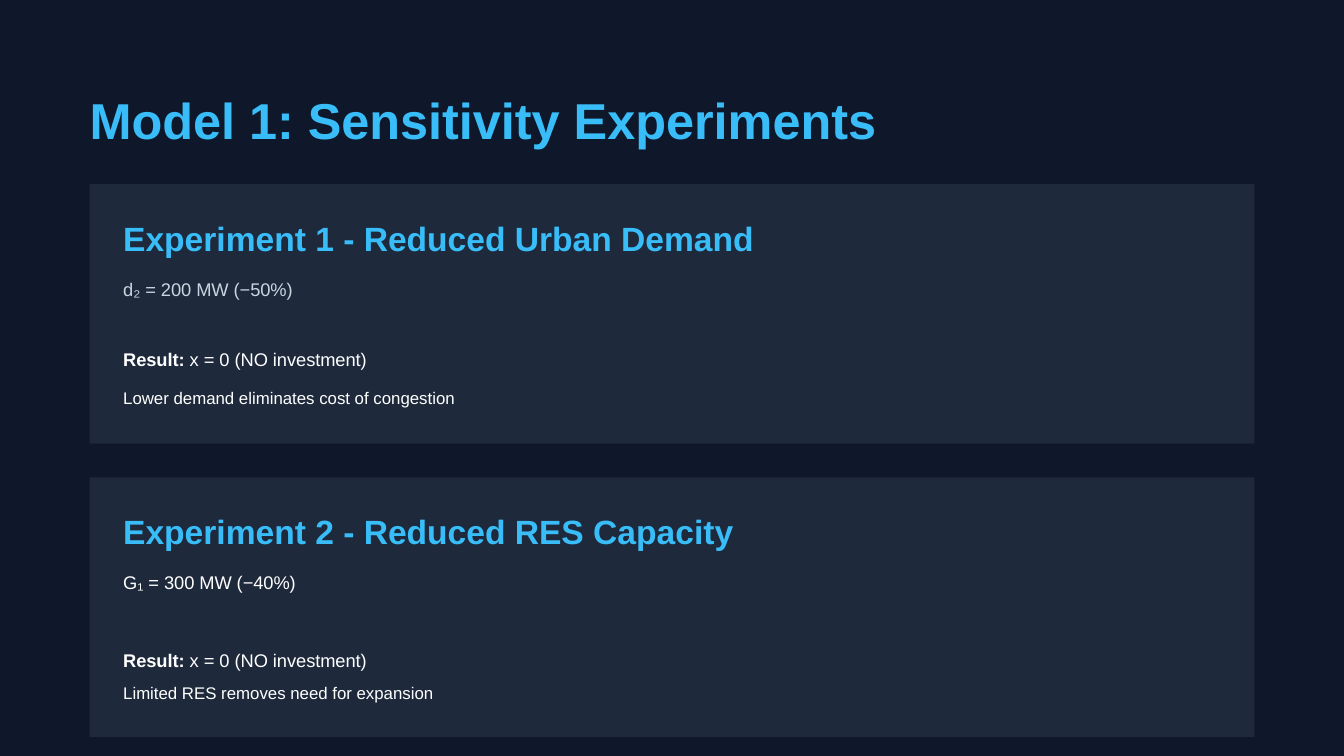
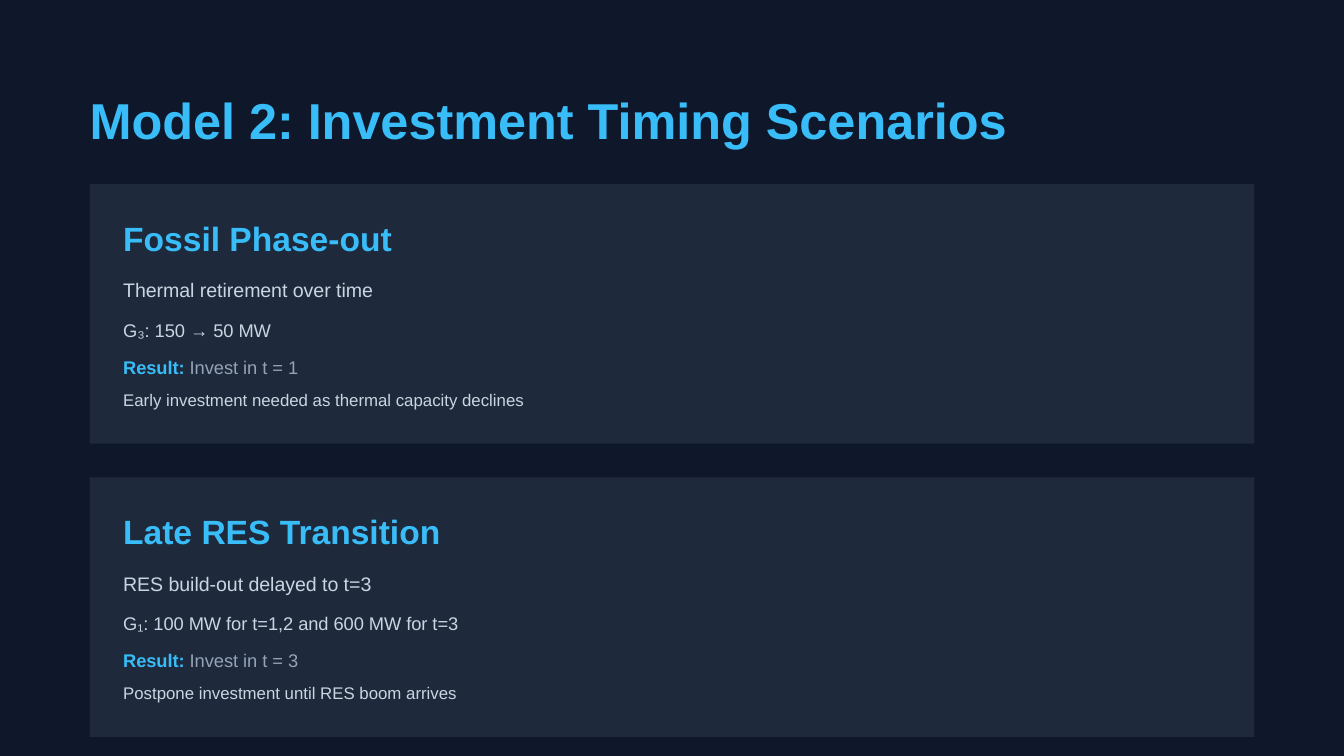
from dataclasses import dataclass

from pptx import Presentation
from pptx.dml.color import RGBColor
from pptx.enum.shapes import MSO_SHAPE
from pptx.enum.text import MSO_ANCHOR, MSO_AUTO_SIZE, PP_ALIGN
from pptx.util import Emu, Pt

RECTANGLE = MSO_SHAPE.RECTANGLE
TOP = MSO_ANCHOR.TOP
LEFT = PP_ALIGN.LEFT
NO_AUTOFIT = MSO_AUTO_SIZE.NONE

EMU_PER_PX = 4762.5
SLIDE_WIDTH, SLIDE_HEIGHT = 1920, 1080
MARGIN = 128
TITLE_WIDTH, TITLE_HEIGHT = 1697, 86
CARD_TOP, CARD_WIDTH, CARD_HEIGHT, CARD_GAP = 263, 1664, 371, 48
CARD_PADDING = 48
TEXT_WIDTH = 1600

COLORS = {
    "background": "0F172A",
    "card": "1E293B",
    "accent": "38BDF8",
    "soft": "CBD5E1",
    "muted": "94A3B8",
    "white": "FFFFFF",
}
FRAME_FORMAT = {
    "margin_left": 0,
    "margin_top": 0,
    "margin_right": 0,
    "margin_bottom": 0,
    "word_wrap": True,
    "auto_size": NO_AUTOFIT,
    "vertical_anchor": TOP,
}


@dataclass(frozen=True)
class TextStyle:
    size: float
    spacing: float
    height: int


TITLE = TextStyle(27, 32.4, TITLE_HEIGHT)
HEADING = TextStyle(18, 21.6, 58)
LEAD = TextStyle(10.5, 14.7, 39)
BODY = TextStyle(9.75, 13.65, 36)
NOTE = TextStyle(9, 12.6, 33)


@dataclass(frozen=True)
class Span:
    text: str
    color: str
    bold: bool = False


@dataclass(frozen=True)
class Line:
    offset: int
    style: TextStyle
    spans: tuple[Span, ...]


@dataclass(frozen=True)
class Card:
    heading: str
    lines: tuple[Line, ...]


@dataclass(frozen=True)
class CardSlide:
    title: str
    cards: tuple[Card, ...]


def experiment(heading: str, condition: str, condition_color: str,
               result_offset: int, note_offset: int, note: str) -> Card:
    return Card(heading, (
        Line(129, BODY, (Span(condition, condition_color),)),
        Line(result_offset, BODY, (Span("Result:", "white", True),
                                   Span(" x = 0 (NO investment)", "white"))),
        Line(note_offset, NOTE, (Span(note, "white"),)),
    ))


def scenario(heading: str, lead: str, capacity: str, result: str, note: str) -> Card:
    return Card(heading, (
        Line(129, LEAD, (Span(lead, "soft"),)),
        Line(188, BODY, (Span(capacity, "soft"),)),
        Line(241, BODY, (Span("Result:", "accent", True), Span(f" {result}", "muted"))),
        Line(289, NOTE, (Span(note, "soft"),)),
    ))


SLIDES = (
    CardSlide("Model 1: Sensitivity Experiments", (
        experiment("Experiment 1 - Reduced Urban Demand", "d₂ = 200 MW (−50%)", "soft",
                   230, 286, "Lower demand eliminates cost of congestion"),
        experiment("Experiment 2 - Reduced RES Capacity", "G₁ = 300 MW (−40%)", "white",
                   241, 289, "Limited RES removes need for expansion"),
    )),
    CardSlide("Model 2: Investment Timing Scenarios", (
        scenario("Fossil Phase-out", "Thermal retirement over time", "G₃: 150 → 50 MW",
                 "Invest in t = 1", "Early investment needed as thermal capacity declines"),
        scenario("Late RES Transition", "RES build-out delayed to t=3",
                 "G₁: 100 MW for t=1,2 and 600 MW for t=3",
                 "Invest in t = 3", "Postpone investment until RES boom arrives"),
    )),
)


def px(length: int) -> Emu:
    return Emu(round(length * EMU_PER_PX))


def color(name: str) -> RGBColor:
    return RGBColor.from_string(COLORS[name])


def set_attributes(target, values: dict) -> None:
    for name, value in values.items():
        setattr(target, name, value)


def write_text(shape, style: TextStyle, spans: tuple[Span, ...]) -> None:
    set_attributes(shape.text_frame, FRAME_FORMAT)
    paragraph = shape.text_frame.paragraphs[0]
    set_attributes(paragraph, {
        "alignment": LEFT,
        "line_spacing": Pt(style.spacing),
        "space_before": Pt(0),
    })
    for span in spans:
        run = paragraph.add_run()
        run.text = span.text
        set_attributes(run.font, {"name": "Arial", "size": Pt(style.size), "bold": span.bold})
        run.font.color.rgb = color(span.color)


def add_title(slide, text: str) -> None:
    title = slide.shapes.title
    set_attributes(title, {
        "left": px(MARGIN),
        "top": px(MARGIN),
        "width": px(TITLE_WIDTH),
        "height": px(TITLE_HEIGHT),
    })
    write_text(title, TITLE, (Span(text, "accent", True),))


def add_card(slide, card: Card, top: int) -> None:
    panel = slide.shapes.add_shape(RECTANGLE, px(MARGIN), px(top),
                                   px(CARD_WIDTH), px(CARD_HEIGHT))
    panel.shadow.inherit = False
    panel.fill.solid()
    panel.fill.fore_color.rgb = color("card")
    panel.line.fill.background()
    heading = Line(CARD_PADDING, HEADING, (Span(card.heading, "accent", True),))
    for line in (heading, *card.lines):
        box = slide.shapes.add_textbox(px(MARGIN + CARD_PADDING), px(top + line.offset),
                                       px(TEXT_WIDTH), px(line.style.height))
        write_text(box, line.style, line.spans)


def main() -> None:
    presentation = Presentation()
    set_attributes(presentation, {
        "slide_width": px(SLIDE_WIDTH),
        "slide_height": px(SLIDE_HEIGHT),
    })
    background = presentation.slide_master.background.fill
    background.solid()
    background.fore_color.rgb = color("background")
    title_only = presentation.slide_layouts.get_by_name("Title Only")
    for content in SLIDES:
        slide = presentation.slides.add_slide(title_only)
        add_title(slide, content.title)
        for index, card in enumerate(content.cards):
            add_card(slide, card, CARD_TOP + index * (CARD_HEIGHT + CARD_GAP))
    presentation.save("out.pptx")


if __name__ == "__main__":
    main()
